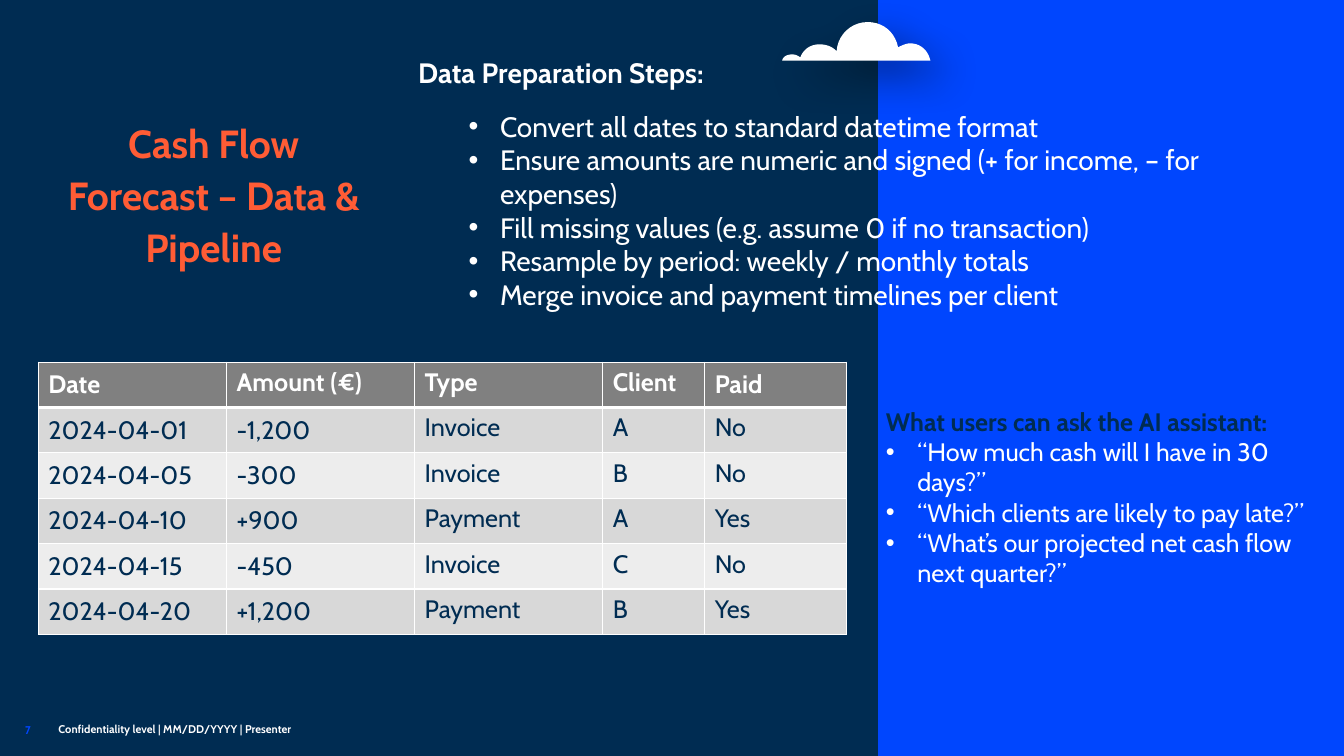
"""Build the cash flow forecast slide with its data table and preparation steps."""
from dataclasses import dataclass

from lxml import etree
from pptx import Presentation
from pptx.dml.color import RGBColor
from pptx.enum.shapes import MSO_SHAPE
from pptx.enum.text import MSO_ANCHOR, PP_ALIGN
from pptx.oxml.ns import qn
from pptx.util import Pt

RECTANGLE = MSO_SHAPE.RECTANGLE
TOP, MIDDLE = MSO_ANCHOR.TOP, MSO_ANCHOR.MIDDLE
LEFT, CENTER = PP_ALIGN.LEFT, PP_ALIGN.CENTER


@dataclass(frozen=True)
class Theme:
    font: str = "Cabin"
    navy: str = "002C52"
    blue: str = "0046FE"
    orange: str = "FF5C35"
    white: str = "FFFFFF"
    black: str = "000000"
    header: str = "808080"
    band_dark: str = "D8D8D8"
    band_light: str = "EDEDED"
    title: int = 28
    steps: int = 20
    body: int = 18
    footer: int = 8


theme = Theme()


def write(frame, text, size=theme.body, color=theme.white, bold=False, align=LEFT,
          spacing=None, before=None, bullet_at=None, level=0):
    """Add one formatted paragraph, using the empty first one when there is one."""
    first = frame.paragraphs[0]
    para = frame.add_paragraph() if first.runs else first
    para.alignment = align
    para.level = level
    if spacing:
        para.line_spacing = spacing
    if before:
        para.space_before = Pt(before)
    if bullet_at is not None:
        properties = para._p.get_or_add_pPr()
        properties.set("marL", str(Pt(bullet_at)))
        properties.set("indent", str(Pt(-22.5)))
        etree.SubElement(properties, qn("a:buFont"), typeface="Arial")
        etree.SubElement(properties, qn("a:buChar"), char="•")
    span = para.add_run()
    span.text = text
    span.font.name = theme.font
    span.font.size = Pt(size)
    span.font.bold = bold
    span.font.color.rgb = RGBColor.from_string(color)


def add_box(left, top, width, height, anchor=TOP, inset=(7.2, 3.6)):
    """Add a wrapping text box and return its text frame."""
    frame = page.shapes.add_textbox(Pt(left), Pt(top), Pt(width), Pt(height)).text_frame
    frame.word_wrap = True
    frame.vertical_anchor = anchor
    frame.margin_left = frame.margin_right = Pt(inset[0])
    frame.margin_top = frame.margin_bottom = Pt(inset[1])
    return frame


deck = Presentation()
deck.slide_width, deck.slide_height = Pt(960), Pt(540)
page = deck.slides.add_slide(deck.slide_layouts[6])
page.background.fill.solid()
page.background.fill.fore_color.rgb = RGBColor.from_string(theme.navy)

panel = page.shapes.add_shape(RECTANGLE, Pt(627.2), Pt(0), Pt(332.8), Pt(540))
panel.shadow.inherit = False
panel.fill.solid()
panel.fill.fore_color.rgb = RGBColor.from_string(theme.blue)
panel.line.fill.background()

CURVE_STEPS = 10
cloud_start = (558.7, 43.4)
cloud_curves = [
    ((559.4, 40.3), (562.3, 38.9), (565.9, 38.9)),
    ((568.1, 38.9), (569.5, 39.6), (571.7, 41)),
    ((573.8, 35.3), (578.9, 31.7), (585.4, 31.7)),
    ((589.7, 31.7), (594.7, 33.1), (597.6, 36.7)),
    ((598.3, 25.2), (607.7, 15.8), (619.9, 15.8)),
    ((630.7, 15.8), (639.4, 23), (641.5, 33.8)),
    ((644.4, 32.4), (647.3, 31), (650.2, 31)),
    ((657.4, 31), (663.1, 36), (664.6, 43.4)),
]
outline = []
current = cloud_start
for control_a, control_b, end in cloud_curves:
    for step in range(1, CURVE_STEPS + 1):
        t = step / CURVE_STEPS
        outline.append(tuple(
            Pt((1 - t) ** 3 * p + 3 * (1 - t) ** 2 * t * a + 3 * (1 - t) * t ** 2 * b + t ** 3 * q)
            for p, a, b, q in zip(current, control_a, control_b, end)))
    current = end
builder = page.shapes.build_freeform(Pt(cloud_start[0]), Pt(cloud_start[1]))
builder.add_line_segments(outline, close=True)
cloud = builder.convert_to_shape()
cloud.shadow.inherit = False
cloud.fill.solid()
cloud.fill.fore_color.rgb = RGBColor.from_string(theme.white)
cloud.line.fill.background()
effects = cloud._element.spPr.find(qn("a:effectLst"))
shadow = etree.SubElement(effects, qn("a:outerShdw"), blurRad=str(Pt(30)), dist=str(Pt(16)),
                          dir="2700000", algn="tl", rotWithShape="0")
shadow_color = etree.SubElement(shadow, qn("a:srgbClr"), val=theme.black)
etree.SubElement(shadow_color, qn("a:alpha"), val="40000")

footers = [
    (38.9, 516.2, 396.7, "Confidentiality level | MM/DD/YYYY | Presenter", theme.white),
    (15.1, 517, 20.9, "7", theme.blue),
]
for left, top, width, text, color in footers:
    write(add_box(left, top, width, 9.4, MIDDLE, (2.9, 0)), text,
          size=theme.footer, color=color, bold=True)

write(add_box(36, 78.5, 233.3, 116.6), "Cash Flow Forecast – Data & Pipeline",
      size=theme.title, color=theme.orange, bold=True, align=CENTER, spacing=1.1)

records = [
    ("Date", "Amount (€)", "Type", "Client", "Paid"),
    ("2024-04-01", "-1,200", "Invoice", "A", "No"),
    ("2024-04-05", "-300", "Invoice", "B", "No"),
    ("2024-04-10", "+900", "Payment", "A", "Yes"),
    ("2024-04-15", "-450", "Invoice", "C", "No"),
    ("2024-04-20", "+1,200", "Payment", "B", "Yes"),
]
column_widths = [134.4, 134.4, 134.4, 72.8, 101]
row_height = 32.4
table = page.shapes.add_table(len(records), len(column_widths), Pt(27.4), Pt(258.7),
                              Pt(sum(column_widths)), Pt(row_height * len(records))).table
table.horz_banding = False
for column, width in zip(table.columns, column_widths):
    column.width = Pt(width)
for row_index, record in enumerate(records):
    table.rows[row_index].height = Pt(row_height)
    is_header = row_index == 0
    band = theme.band_dark if row_index % 2 else theme.band_light
    middle_columns = (0, 4) if is_header else (0, 1)
    edges = {"lnL": 1, "lnR": 1, "lnT": 3 if row_index == 1 else 1, "lnB": 3 if is_header else 1}
    for column_index, text in enumerate(record):
        cell = table.cell(row_index, column_index)
        cell.vertical_anchor = MIDDLE if column_index in middle_columns else TOP
        cell.fill.solid()
        cell.fill.fore_color.rgb = RGBColor.from_string(theme.header if is_header else band)
        write(cell.text_frame, text, color=theme.white if is_header else theme.navy, bold=is_header)
        for position, (edge, thickness) in enumerate(edges.items()):
            border = etree.Element(qn(f"a:{edge}"), w=str(Pt(thickness)))
            border_fill = etree.SubElement(border, qn("a:solidFill"))
            etree.SubElement(border_fill, qn("a:srgbClr"), val=theme.white)
            cell._tc.get_or_add_tcPr().insert(position, border)

steps = [
    "Convert all dates to standard datetime format",
    "Ensure amounts are numeric and signed (+ for income, – for expenses)",
    "Fill missing values (e.g. assume 0 if no transaction)",
    "Resample by period: weekly / monthly totals",
    "Merge invoice and payment timelines per client",
]
steps_frame = add_box(291.6, 36, 607, 191.5)
write(steps_frame, "Data Preparation Steps:", size=theme.steps, bold=True)
for index, text in enumerate(steps):
    write(steps_frame, text, size=theme.steps, bullet_at=58.5, level=1,
          before=0 if index else 14.5)

questions = [
    "“How much cash will I have in 30 days?”",
    "“Which clients are likely to pay late?”",
    "“What’s our projected net cash flow next quarter?”",
]
questions_frame = add_box(625.7, 286.6, 334.3, 138.2)
write(questions_frame, "What users can ask the AI assistant:", color=theme.navy, bold=True)
for text in questions:
    write(questions_frame, text, bullet_at=22.5)

deck.save("out.pptx")
